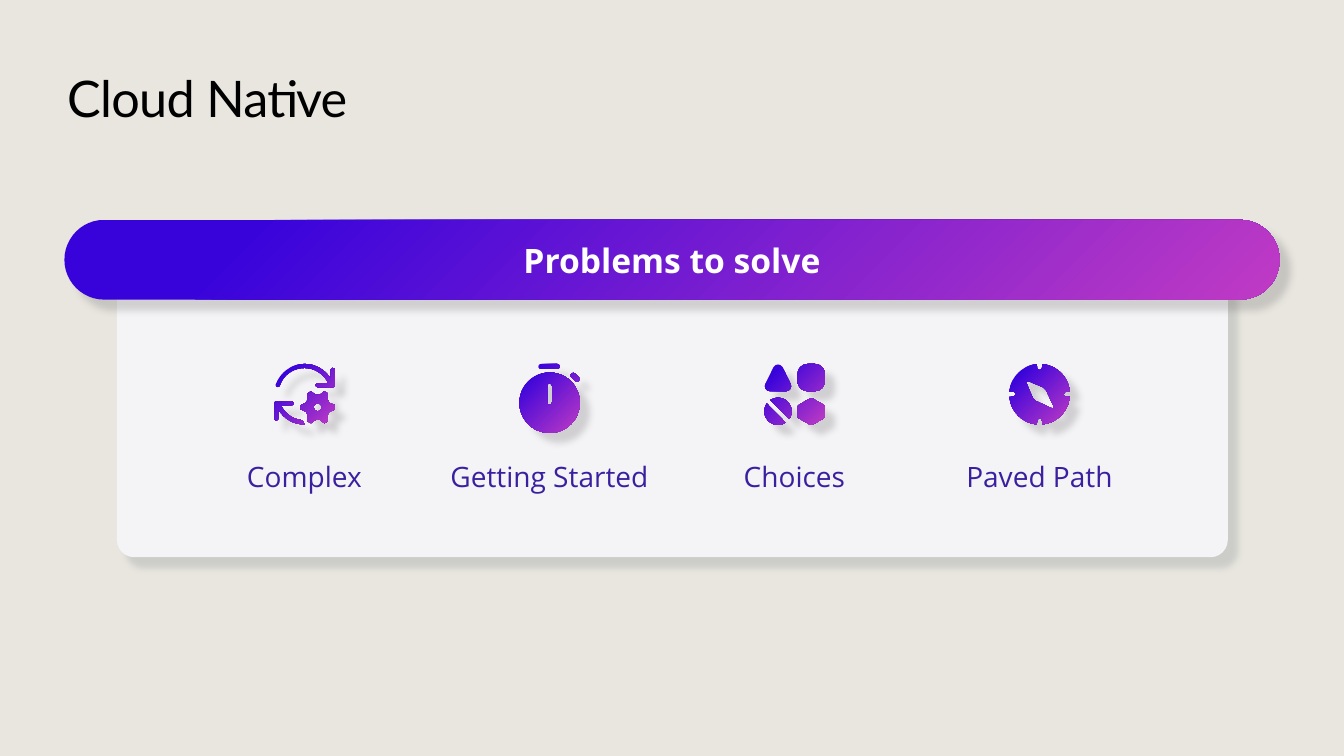
from math import cos, radians, sin

from lxml.etree import SubElement
from pptx import Presentation
from pptx.dml.color import RGBColor
from pptx.enum.shapes import MSO_SHAPE as SHAPE
from pptx.enum.text import MSO_ANCHOR as ANCHOR, PP_ALIGN as ALIGN
from pptx.oxml.ns import qn
from pptx.util import Pt

color = RGBColor.from_string


def paint(shape, fill=None, shadow="454142", opacity=20):
    """Fill with one colour, or with the violet glow if none is given, and cast a shadow."""
    if fill:
        shape.fill.solid()
        shape.fill.fore_color.rgb = color(fill)
    else:
        shape.fill.gradient()
        for stop, (position, tint) in zip(shape.fill.gradient_stops, ((0, "C03BC4"), (0.85, "3803DB"))):
            stop.position = position
            stop.color.rgb = color(tint)
        gradient = shape.element.spPr.find(qn("a:gradFill"))
        gradient.remove(gradient.find(qn("a:lin")))
        glow = SubElement(gradient, qn("a:path"), path="circle")
        SubElement(glow, qn("a:fillToRect"), l="100000", t="100000")
    shape.line.fill.background()
    shape.shadow.inherit = False
    effects = shape.element.spPr.find(qn("a:effectLst"))
    outer = SubElement(effects, qn("a:outerShdw"), blurRad=str(Pt(5)), dist=str(Pt(10)),
                       dir="2700000", algn="tl", rotWithShape="0")
    tone = SubElement(outer, qn("a:srgbClr"), val=shadow)
    SubElement(tone, qn("a:alpha"), val=str(opacity * 1000))


def write(box, text, size, font, tint, align=ALIGN.CENTER, anchor=ANCHOR.TOP,
          bold=False, inset=None, spacing=None):
    frame = box.text_frame
    frame.word_wrap = True
    frame.vertical_anchor = anchor
    if inset is not None:
        frame.margin_left = frame.margin_right = Pt(inset)
        frame.margin_top = frame.margin_bottom = Pt(inset)
    para = frame.paragraphs[0]
    para.alignment = align
    span = para.add_run()
    span.text = text
    span.font.size = Pt(size)
    span.font.name = font
    span.font.bold = bold
    span.font.color.rgb = color(tint)
    if spacing is not None:
        span.font._element.set("spc", str(int(spacing * 100)))


deck = Presentation()
deck.slide_width, deck.slide_height = Pt(960), Pt(540)
page = deck.slides.add_slide(deck.slide_layouts[5])
page.background.fill.solid()
page.background.fill.fore_color.rgb = color("E8E6DF")
shapes = page.shapes

title = shapes.title
title.left, title.top, title.width, title.height = Pt(48), Pt(48), Pt(864), Pt(65)
write(title, "Cloud Native", 36, "Lato", "000000", align=ALIGN.LEFT, inset=0, spacing=-0.5)

panel = shapes.add_shape(SHAPE.ROUNDED_RECTANGLE, Pt(83.5), Pt(187), Pt(793.5), Pt(211))
panel.adjustments[0] = 0.058
paint(panel, fill="F4F3F5", shadow="B1B3B3", opacity=50)

# Icons sit on a 60-unit grid. An outline is a chain of arcs joined by straight
# lines; an arc is centre x, centre y, radius, start angle, end angle (clockwise).
arrowhead = [(58, 6, 2, 180, 360), (58, 21, 2, 0, 90), (43, 21, 2, 90, 270)]
turned_head = [(60 - x, 60 - y, r, a + 180, b + 180) for x, y, r, a, b in arrowhead]
gear, compass_rim = [], []
for turn in range(0, 360, 60):
    gear += [(43, 43, 17, turn - 7, turn + 7), (43, 43, 12.3, turn + 22, turn + 38)]
for turn in range(0, 360, 90):
    notch = radians(turn + 90)
    compass_rim += [(30, 30, 30, turn + 5, turn + 85),
                    (30 + 26.5 * cos(notch), 30 + 26.5 * sin(notch), 2.5, turn, turn - 180)]

cycle = [
    [(30, 30, 30, 199, 331), *arrowhead, (30, 30, 26, 335, 199), (3.5, 20.9, 2, 19, 199)],
    [(30, 30, 30, 90, 151), *turned_head, (30, 30, 26, 155, 95)],
    gear,
    [(43, 43, 4, 0, 180), (43, 43, 4, 180, 360)],
]
stopwatch = [
    [(30, 38.5, 30, 0, 180), (30, 38.5, 30, 180, 360)],
    [(30, 22, 2.5, 180, 360), (30, 38, 2.5, 0, 180)],
    [(21.5, 2.5, 2.5, 90, 270), (37.5, 2.5, 2.5, 270, 450)],
    [(53.5, 11.5, 2.6, 135, 315), (57, 15, 2.6, 315, 495)],
]
tokens = [
    [(43, 10, 10, 180, 270), (50, 10, 10, 270, 360), (50, 17, 10, 0, 90), (43, 17, 10, 90, 180)],
    [(13.5, 5.5, 5, 207, 333), (21.5, 22, 5, 333, 450), (5.5, 22, 5, 90, 207)],
    [(13.5, 47, 13.5, 236, 394)],
    [(13.5, 47, 13.5, 56, 215)],
    [(46.5, 37, 3, 240, 300), (57, 43, 3, 300, 360), (57, 51.5, 3, 0, 60),
     (46.5, 57.5, 3, 60, 120), (36, 51.5, 3, 120, 180), (36, 43, 3, 180, 240)],
]
compass = [
    compass_rim,
    [(28.5, 31.5, 9.8, 345, 285), (18.5, 18.5, 1.5, 295, 155),
     (31.5, 28.5, 9.8, 165, 105), (42.5, 42.5, 1.5, 115, -25)],
]

UNIT, ICON_TOP, FINE = 0.72, 260, 1000
topics = [("Complex", 144, 60, cycle), ("Getting Started", 174, 68.5, stopwatch),
          ("Choices", 144, 60, tokens), ("Paved Path", 158, 60, compass)]
for column, (name, label_width, icon_height, outlines) in enumerate(topics):
    icon_left = 196 + 175 * column
    right, bottom = icon_left + 60 * UNIT, ICON_TOP + icon_height * UNIT
    builder = shapes.build_freeform(Pt(icon_left), Pt(ICON_TOP))
    builder.add_line_segments([(Pt(right), Pt(bottom))])
    icon = builder.convert_to_shape()
    drawing = icon.element.spPr.find(".//" + qn("a:path"))
    for piece in list(drawing):
        drawing.remove(piece)
    drawing.set("w", str(60 * FINE))
    drawing.set("h", str(round(icon_height * FINE)))
    for outline in outlines:
        for order, (x, y, radius, start, end) in enumerate(outline):
            move = SubElement(drawing, qn("a:lnTo" if order else "a:moveTo"))
            SubElement(move, qn("a:pt"), x=str(round(FINE * (x + radius * cos(radians(start))))),
                       y=str(round(FINE * (y + radius * sin(radians(start))))))
            reach = str(round(FINE * radius))
            SubElement(drawing, qn("a:arcTo"), wR=reach, hR=reach,
                       stAng=str(start % 360 * 60000), swAng=str((end - start) * 60000))
        SubElement(drawing, qn("a:close"))
    paint(icon)

    label = shapes.add_textbox(Pt(icon_left + 21.5 - label_width / 2), Pt(324.5), Pt(label_width), Pt(32))
    write(label, name, 20, "Open Sans", "3A20A0")

banner = shapes.add_shape(SHAPE.ROUNDED_RECTANGLE, Pt(46), Pt(157), Pt(868), Pt(57))
banner.adjustments[0] = 0.5
paint(banner)
write(banner, "Problems to solve", 24, "Open Sans", "FFFFFF", anchor=ANCHOR.MIDDLE, bold=True, inset=0)

deck.save("out.pptx")
